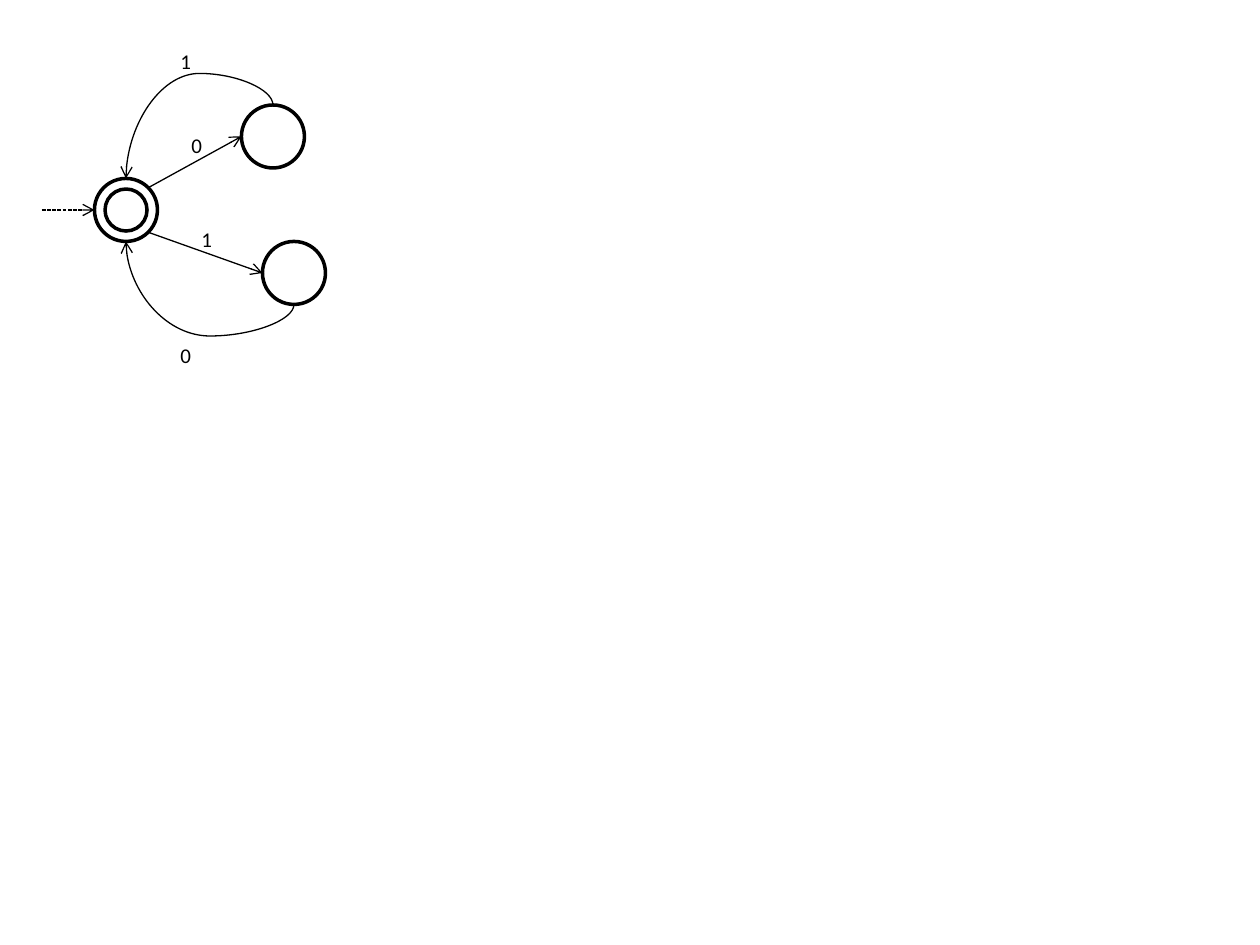
from math import sqrt

from lxml.etree import SubElement
from pptx import Presentation
from pptx.dml.color import RGBColor
from pptx.enum.dml import MSO_LINE
from pptx.enum.shapes import MSO_CONNECTOR as LINK, MSO_SHAPE
from pptx.enum.text import MSO_AUTO_SIZE
from pptx.oxml.ns import qn
from pptx.util import Emu, Pt

SCALE = 914400 // 126
INK = "000000"
RADIUS, INNER_RADIUS = 31.5, 21
BULGE = 31.5
START, AFTER_ZERO, AFTER_ONE = (126, 210), (273, 136.5), (294, 273)
ENTRY = (42, 210)
STATES = [(START, RADIUS), (START, INNER_RADIUS), (AFTER_ZERO, RADIUS), (AFTER_ONE, RADIUS)]
# target state, vertical direction (-1 up, 1 down), rotation, flips
BRANCHES = [
    (AFTER_ZERO, -1, 270, ("flipH", "flipV")),
    (AFTER_ONE, 1, 90, ("flipH",)),
]
LABELS = [("0", 179, 126), ("0", 168, 336), ("1", 189, 220), ("1", 168, 42)]
LABEL_SIZE = (37, 38)


def px(value):
    """Turn pixels into EMU."""
    return Emu(round(value * SCALE))


def rgb(code):
    """Turn a hex string into a colour."""
    return RGBColor.from_string(code)


def style_line(line, width):
    """Give a line its colour and width in points."""
    line.color.rgb = rgb(INK)
    line.width = Pt(width)


def add_state(shapes, center, radius):
    """Draw one circle of a state."""
    corner = [px(c - radius) for c in center]
    circle = shapes.add_shape(MSO_SHAPE.OVAL, *corner, px(2 * radius), px(2 * radius))
    circle.shadow.inherit = False
    circle.fill.background()
    style_line(circle.line, 2)


def add_arrow(shapes, begin, end, kind=LINK.STRAIGHT, dash=None):
    """Draw a connector with an open arrowhead at its end."""
    arrow = shapes.add_connector(kind, *map(px, begin + end))
    style_line(arrow.line, 0.75)
    if dash:
        arrow.line.dash_style = dash
    SubElement(arrow.line._get_or_add_ln(), qn("a:tailEnd"), type="arrow")
    SubElement(arrow._element.spPr, qn("a:effectLst"))
    return arrow


def add_return(shapes, begin, end, rotation, flips):
    """Draw a curve that leaves vertically and bends back to the start state."""
    across, rise = abs(begin[0] - end[0]), abs(begin[1] - end[1])
    mid_x, mid_y = (begin[0] + end[0]) / 2, (begin[1] + end[1]) / 2
    corner = (mid_x - rise / 2, mid_y - across / 2)
    opposite = (mid_x + rise / 2, mid_y + across / 2)
    curve = add_arrow(shapes, corner, opposite, LINK.CURVE)
    properties = curve._element.spPr
    frame = properties.find(qn("a:xfrm"))
    frame.set("rot", str(rotation * 60000))
    for flip in flips:
        frame.set(flip, "1")
    geometry = properties.find(qn("a:prstGeom"))
    guides = geometry.find(qn("a:avLst"))
    if guides is None:
        guides = SubElement(geometry, qn("a:avLst"))
    bend = round(-BULGE / rise * 100000)
    SubElement(guides, qn("a:gd"), name="adj1", fmla=f"val {bend}")


def add_label(shapes, symbol, left, top):
    """Write the input symbol of a transition."""
    box = shapes.add_textbox(px(left), px(top), *map(px, LABEL_SIZE))
    frame = box.text_frame
    frame.word_wrap = False
    frame.auto_size = MSO_AUTO_SIZE.SHAPE_TO_FIT_TEXT
    frame.text = symbol
    font = frame.paragraphs[0].runs[0].font
    font.name, font.size = "Calibri", Pt(12)
    font.color.rgb = rgb(INK)


prs = Presentation()
prs.slide_width, prs.slide_height = px(1260), px(945)
slide = prs.slides.add_slide(prs.slide_layouts[6])
automaton = slide.shapes.add_group_shape().shapes

for center, radius in STATES:
    add_state(automaton, center, radius)
diagonal = RADIUS / sqrt(2)
for target, side, rotation, flips in BRANCHES:
    x, y = START
    add_arrow(automaton, (x + diagonal, y + side * diagonal), (target[0] - RADIUS, target[1]))
    add_return(automaton, (target[0], target[1] + side * RADIUS),
               (x, y + side * RADIUS), rotation, flips)
add_arrow(automaton, ENTRY, (START[0] - RADIUS, START[1]), dash=MSO_LINE.SQUARE_DOT)
for label in LABELS:
    add_label(automaton, *label)

prs.save("out.pptx")
